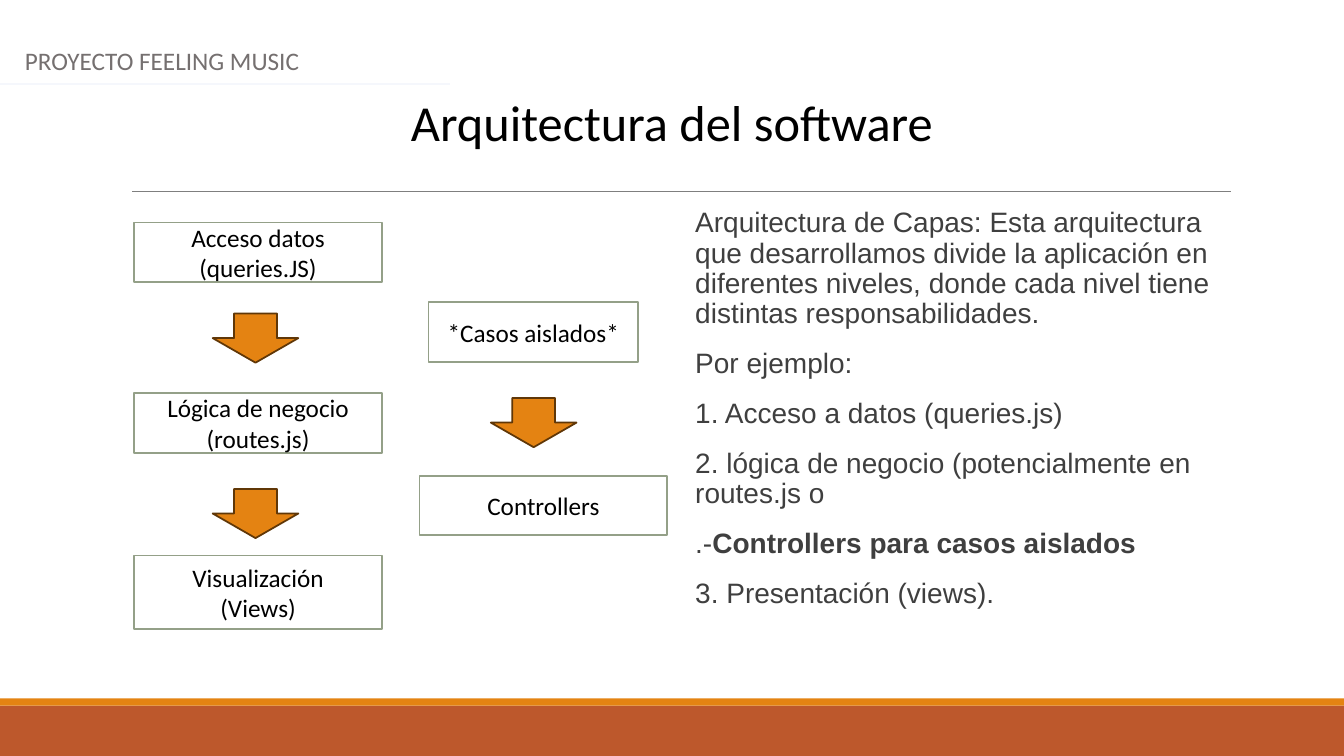
from lxml.etree import SubElement
from pptx import Presentation
from pptx.dml.color import RGBColor
from pptx.enum.shapes import MSO_CONNECTOR, MSO_SHAPE
from pptx.enum.text import MSO_ANCHOR, MSO_AUTO_SIZE, PP_ALIGN
from pptx.oxml.ns import qn
from pptx.util import Cm, Pt

WIDTH, HEIGHT = 33.87, 19.05
ORANGE = "E48312"


def write(shape, paragraphs, size=18, font="Calibri", color="000000", align=PP_ALIGN.CENTER,
          anchor=MSO_ANCHOR.MIDDLE, line_spacing=1.0, gap=0, side_margin=0.25):
    """Fill the shape with paragraphs; text between ** marks is bold."""
    frame = shape.text_frame
    frame.word_wrap = True
    frame.auto_size = MSO_AUTO_SIZE.NONE
    frame.vertical_anchor = anchor
    frame.margin_left = frame.margin_right = Cm(side_margin)
    frame.margin_top = frame.margin_bottom = Cm(0.13)
    for index, text in enumerate(paragraphs):
        paragraph = frame.add_paragraph() if index else frame.paragraphs[0]
        paragraph.alignment = align
        paragraph.line_spacing = line_spacing
        paragraph.space_before = Pt(gap if index else 0)
        for part, piece in enumerate(text.split("**")):
            if piece:
                run = paragraph.add_run()
                run.text = piece
                run.font.size = Pt(size)
                run.font.name = font
                run.font.bold = part % 2 == 1
                run.font.color.rgb = RGBColor.from_string(color)


def add_block(kind, left, top, width, height, fill, line=None):
    shape = slide.shapes.add_shape(kind, Cm(left), Cm(top), Cm(width), Cm(height))
    shape.shadow.inherit = False
    shape.fill.solid()
    shape.fill.fore_color.rgb = RGBColor.from_string(fill)
    if line:
        shape.line.color.rgb = RGBColor.from_string(line)
        shape.line.width = Pt(1.25)
    else:
        shape.line.fill.background()
    return shape


presentation = Presentation()
presentation.slide_width, presentation.slide_height = Cm(WIDTH), Cm(HEIGHT)
slide = presentation.slides.add_slide(presentation.slide_layouts[1])

# Footer bands
add_block(MSO_SHAPE.RECTANGLE, 0, 17.78, WIDTH, 1.27, "BD582C")
add_block(MSO_SHAPE.RECTANGLE, 0, 17.6, WIDTH, 0.18, ORANGE)

# Rules under the title and the project name
for start, end, y, color, weight in [(3.33, 31.01, 4.83, "7F7F7F", 0.75),
                                     (0, 11.35, 2.11, "F5F7FC", 1.25)]:
    rule = slide.shapes.add_connector(MSO_CONNECTOR.STRAIGHT, Cm(start), Cm(y), Cm(end), Cm(y))
    rule.line.color.rgb = RGBColor.from_string(color)
    rule.line.width = Pt(weight)
    SubElement(rule._element.spPr, qn("a:effectLst"))

# Headings
project = slide.shapes.add_textbox(Cm(0.38), Cm(1.02), Cm(WIDTH), Cm(1.02))
write(project, ["PROYECTO FEELING MUSIC"], color="757070", align=PP_ALIGN.LEFT,
      anchor=MSO_ANCHOR.TOP)

title = slide.shapes.title
title.left, title.top, title.width, title.height = Cm(0), Cm(2.16), Cm(WIDTH), Cm(1.8)
write(title, ["Arquitectura del software"], size=36, anchor=MSO_ANCHOR.TOP)

# Explanation
body = slide.placeholders[1]
body.left, body.top, body.width, body.height = Cm(17.27), Cm(5.13), Cm(13.72), Cm(11.18)
write(body, [
    "Arquitectura de Capas: Esta arquitectura que desarrollamos divide la aplicación en "
    "diferentes niveles, donde cada nivel tiene distintas responsabilidades.",
    "Por ejemplo:",
    "1. Acceso a datos (queries.js)",
    "2. lógica de negocio (potencialmente en routes.js o",
    ".-**Controllers para casos aislados**",
    "3. Presentación (views).",
], size=20, font="Arial", color="3F3F3F", align=PP_ALIGN.LEFT, anchor=MSO_ANCHOR.TOP,
    line_spacing=0.9, gap=14, side_margin=0)
for paragraph in body.text_frame.paragraphs:
    properties = paragraph._p.get_or_add_pPr()
    properties.set("marL", str(Cm(0.25)))
    properties.set("indent", "0")
    SubElement(properties, qn("a:buNone"))

# Layer diagram
for left, top, width, height, lines in [
    (3.38, 5.61, 6.25, 1.5, ["Acceso datos (queries.JS)"]),
    (3.38, 9.91, 6.25, 1.5, ["Lógica de negocio", "(routes.js)"]),
    (3.38, 14, 6.25, 1.85, ["Visualización", "(Views)"]),
    (10.8, 7.62, 5.28, 1.5, ["*Casos aislados*"]),
    (10.57, 11.99, 6.25, 1.5, ["Controllers"]),
]:
    box = add_block(MSO_SHAPE.RECTANGLE, left, top, width, height, "FFFFFF", "94A088")
    write(box, lines)

for left, top in [(5.36, 7.9), (5.36, 12.32), (12.37, 10.03)]:
    add_block(MSO_SHAPE.DOWN_ARROW, left, top, 2.16, 1.24, ORANGE, "603707")

presentation.save("out.pptx")
